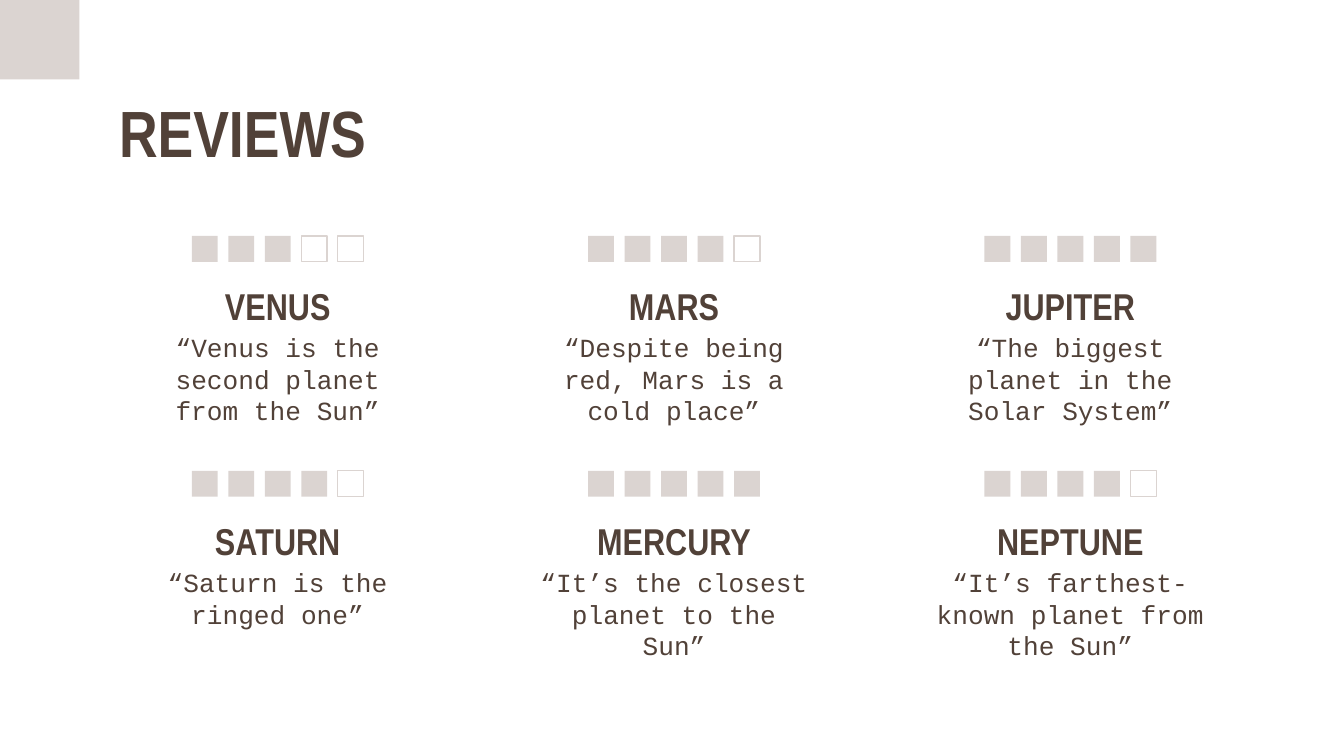
from dataclasses import dataclass

import pptx
import pptx.dml.color
import pptx.enum.shapes
import pptx.enum.text
import pptx.util

Cm = pptx.util.Cm
Pt = pptx.util.Pt
BROWN = pptx.dml.color.RGBColor(0x51, 0x41, 0x38)
BEIGE = pptx.dml.color.RGBColor(0xDB, 0xD4, 0xD1)
WHITE = pptx.dml.color.RGBColor(0xFF, 0xFF, 0xFF)
HEADING_FONT = "Arial Narrow"
BODY_FONT = "Courier New"
CENTER = pptx.enum.text.PP_ALIGN.CENTER
LEFT = pptx.enum.text.PP_ALIGN.LEFT

COLUMNS = 3
FIRST_CENTER, COLUMN_PITCH = 5.25, 7.49
FIRST_TOP, ROW_PITCH = 4.46, 4.44
MAX_RATING = 5
SQUARE_SIZE, SQUARE_PITCH = 0.49, 0.69
NAME_WIDTH, QUOTE_WIDTH = 4.5, 5.84


@dataclass(frozen=True)
class Review:
    planet: str
    quote: str
    rating: int


REVIEWS = (
    Review("VENUS", "“Venus is the second planet from the Sun”", 3),
    Review("MARS", "“Despite being red, Mars is a cold place”", 4),
    Review("JUPITER", "“The biggest planet in the Solar System”", 5),
    Review("SATURN", "“Saturn is the ringed one”", 4),
    Review("MERCURY", "“It’s the closest planet to the Sun”", 5),
    Review("NEPTUNE", "“It’s farthest-known planet from the Sun”", 4),
)


def add_square(shapes, left: float, top: float, size: float, filled: bool = True) -> None:
    square = shapes.add_shape(
        pptx.enum.shapes.MSO_SHAPE.RECTANGLE, Cm(left), Cm(top), Cm(size), Cm(size)
    )
    square.shadow.inherit = False
    square.fill.solid()
    square.fill.fore_color.rgb = BEIGE if filled else WHITE
    if filled:
        square.line.fill.background()
    else:
        square.line.color.rgb = BEIGE
        square.line.width = Pt(0.75)


def add_text(page, text: str, left: float, top: float, width: float, height: float,
             font: str, size: float, bold: bool, alignment=CENTER) -> None:
    box = page.shapes.add_textbox(Cm(left), Cm(top), Cm(width), Cm(height))
    frame = box.text_frame
    frame.text = text
    frame.word_wrap = True
    frame.margin_left = frame.margin_right = Cm(0.25)
    frame.margin_top = frame.margin_bottom = Cm(0.25)
    para = frame.paragraphs[0]
    para.alignment = alignment
    for span in para.runs:
        span.font.name = font
        span.font.size = Pt(size)
        span.font.bold = bold
        span.font.color.rgb = BROWN


def add_rating(page, rating: int, center: float, top: float) -> None:
    row = page.shapes.add_group_shape()
    left = center - ((MAX_RATING - 1) * SQUARE_PITCH + SQUARE_SIZE) / 2
    for index in range(MAX_RATING):
        add_square(row.shapes, left + index * SQUARE_PITCH, top, SQUARE_SIZE, index < rating)


def add_review(page, review: Review, center: float, top: float) -> None:
    add_rating(page, review.rating, center, top)
    add_text(page, review.planet, center - NAME_WIDTH / 2, top + 0.65,
             NAME_WIDTH, 1.19, HEADING_FONT, 20, True)
    add_text(page, review.quote, center - QUOTE_WIDTH / 2, top + 1.56,
             QUOTE_WIDTH, 1.65, BODY_FONT, 14, False)


def main() -> None:
    """Build the planet reviews slide."""
    deck = pptx.Presentation()
    deck.slide_width, deck.slide_height = Cm(25.4), Cm(14.29)
    page = deck.slides.add_slide(deck.slide_layouts[6])
    page.background.fill.solid()
    page.background.fill.fore_color.rgb = WHITE
    add_square(page.shapes, 0, 0, 1.5)
    add_text(page, "REVIEWS", 2, 1.5, 11.1, 1.68, HEADING_FONT, 35, True, LEFT)
    for index, review in enumerate(REVIEWS):
        row, column = divmod(index, COLUMNS)
        add_review(page, review, FIRST_CENTER + column * COLUMN_PITCH,
                   FIRST_TOP + row * ROW_PITCH)
    deck.save("out.pptx")


if __name__ == "__main__":
    main()
